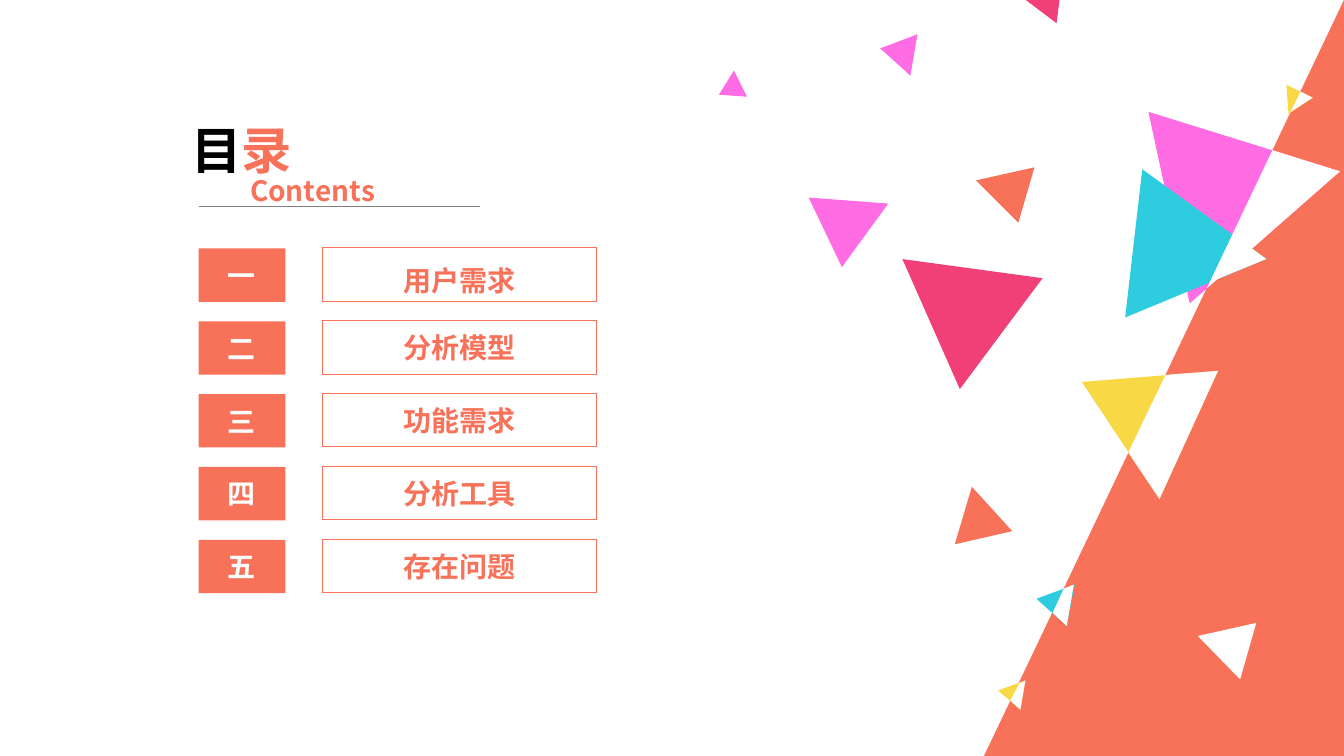
from lxml.etree import SubElement
from pptx import Presentation
from pptx.dml.color import RGBColor
from pptx.enum.shapes import MSO_CONNECTOR, MSO_SHAPE
from pptx.enum.text import MSO_ANCHOR, MSO_AUTO_SIZE, PP_ALIGN
from pptx.oxml.ns import qn
from pptx.util import Inches, Pt

FONT = "Noto Sans CJK SC"
HEX = {"coral": "F77258", "pink": "FF6CE4", "cyan": "2DCCDF", "gold": "F8D845",
       "rose": "F04077", "white": "FFFFFF", "black": "000000", "gray": "808080"}
RGB = {name: RGBColor.from_string(code) for name, code in HEX.items()}

# The grid: 1333 columns by 750 rows of square cells
CELL = Inches(0.01)
COLS, ROWS = 1333, 750

deck = Presentation()
deck.slide_width, deck.slide_height = COLS * CELL, ROWS * CELL
slide = deck.slides.add_slide(deck.slide_layouts[0])
shapes = slide.shapes


def write(shape, runs, size, align):
    """Fill a shape with one bold line of (text, colour) runs."""
    frame = shape.text_frame
    frame.auto_size = MSO_AUTO_SIZE.NONE
    frame.word_wrap = True
    frame.vertical_anchor = MSO_ANCHOR.MIDDLE
    para = frame.paragraphs[0]
    para.alignment = align
    para.space_before = Pt(0)
    for text, color in runs:
        run = para.add_run()
        run.text = text
        font = run.font
        font.name, font.size, font.bold = FONT, Pt(size), True
        font.color.rgb = RGB[color]
        SubElement(font._element, qn("a:ea"), typeface=FONT)


def paint(shape, fill=None, line=None):
    """Set a flat fill and a thin outline, or leave either out."""
    shape.shadow.inherit = False
    if fill:
        shape.fill.solid()
        shape.fill.fore_color.rgb = RGB[fill]
    else:
        shape.fill.background()
    if line:
        shape.line.color.rgb = RGB[line]
        shape.line.width = Pt(0.75)
    else:
        shape.line.fill.background()


# Coral slope on the right
slope = shapes.add_shape(MSO_SHAPE.ISOSCELES_TRIANGLE,
                         976 * CELL, 0, 357 * CELL, ROWS * CELL)
slope.adjustments[0] = 1
paint(slope, "coral")

# Heading
heads = [
    (shapes.title, 180, 113, 71, 36, [("目", "black"), ("录", "coral")]),
    (slide.placeholders[1], 238, 167, 44, 20, [("Contents", "coral")]),
]
for head, left, top, high, size, runs in heads:
    head.left, head.top = left * CELL, top * CELL
    head.width, head.height = 157 * CELL, high * CELL
    write(head, runs, size, PP_ALIGN.LEFT)

rule = shapes.add_connector(MSO_CONNECTOR.STRAIGHT,
                            197 * CELL, 205 * CELL, 476 * CELL, 205 * CELL)
rule.line.color.rgb = RGB["gray"]
rule.line.width = Pt(0.5)
SubElement(rule._element.spPr, qn("a:effectLst"))

# Agenda rows: a number tile and a framed topic
TOP, STEP, HIGH = 246, 72.25, 53
topics = ["用户需求", "分析模型", "功能需求", "分析工具", "存在问题"]
for row, (num, topic) in enumerate(zip("一二三四五", topics)):
    top = TOP + row * STEP
    parts = [(197, top + 0.5, 86, num, "coral", None, "white"),
             (320, top, 272, topic, None, "coral", "coral")]
    for left, y, wide, text, fill, line, ink in parts:
        box = shapes.add_shape(MSO_SHAPE.RECTANGLE, left * CELL, int(y * CELL),
                               wide * CELL, HIGH * CELL)
        paint(box, fill, line)
        write(box, [(text, ink)], 20, PP_ALIGN.CENTER)
        box.text_frame.margin_top = box.text_frame.margin_bottom = 0
        if text == topics[0]:
            box.text_frame.margin_top = 11 * CELL  # first topic sits lower

# Confetti, back to front; white pieces lie over the slope
confetti = [
    ("coral", (1026, 166), (1010, 221), (968, 179)),
    ("pink", (1180, 301), (1139, 111), (1329, 170)),
    ("cyan", (1116, 315), (1133, 168), (1256, 257)),
    ("cyan", (1028, 594), (1066, 580), (1058, 621)),
    ("gold", (990, 685), (1017, 675), (1012, 704)),
    ("gold", (1073, 379), (1208, 368), (1150, 495)),
    ("rose", (1034, 276), (952, 386), (895, 257)),
    ("gold", (1278, 113), (1276, 84), (1302, 97)),
    ("pink", (873, 48), (910, 34), (903, 75)),
    ("rose", (1048, 23), (1016, -1), (1053, -17)),
    ("pink", (835, 265), (802, 196), (881, 202)),
    ("coral", (1004, 527), (947, 540), (964, 483)),
    ("white", (1246, 618), (1230, 674), (1188, 631)),
    ("white", (1262, 149), (1329, 170), (1197, 286)),
    ("white", (1223, 233), (1256, 257), (1200, 280)),
    ("white", (1065, 580), (1058, 621), (1044, 608), (1055, 584)),
    ("white", (1017, 675), (1012, 704), (1002, 695), (1011, 678)),
    ("white", (1208, 368), (1150, 495), (1119, 449), (1156, 372)),
    ("white", (1290, 91), (1302, 97), (1280, 111)),
    ("pink", (713, 94), (728, 70), (741, 96)),
]
for color, start, *rest in confetti:
    pen = shapes.build_freeform(*start, scale=CELL)
    pen.add_line_segments(rest, close=True)
    paint(pen.convert_to_shape(), color)

deck.save("out.pptx")
